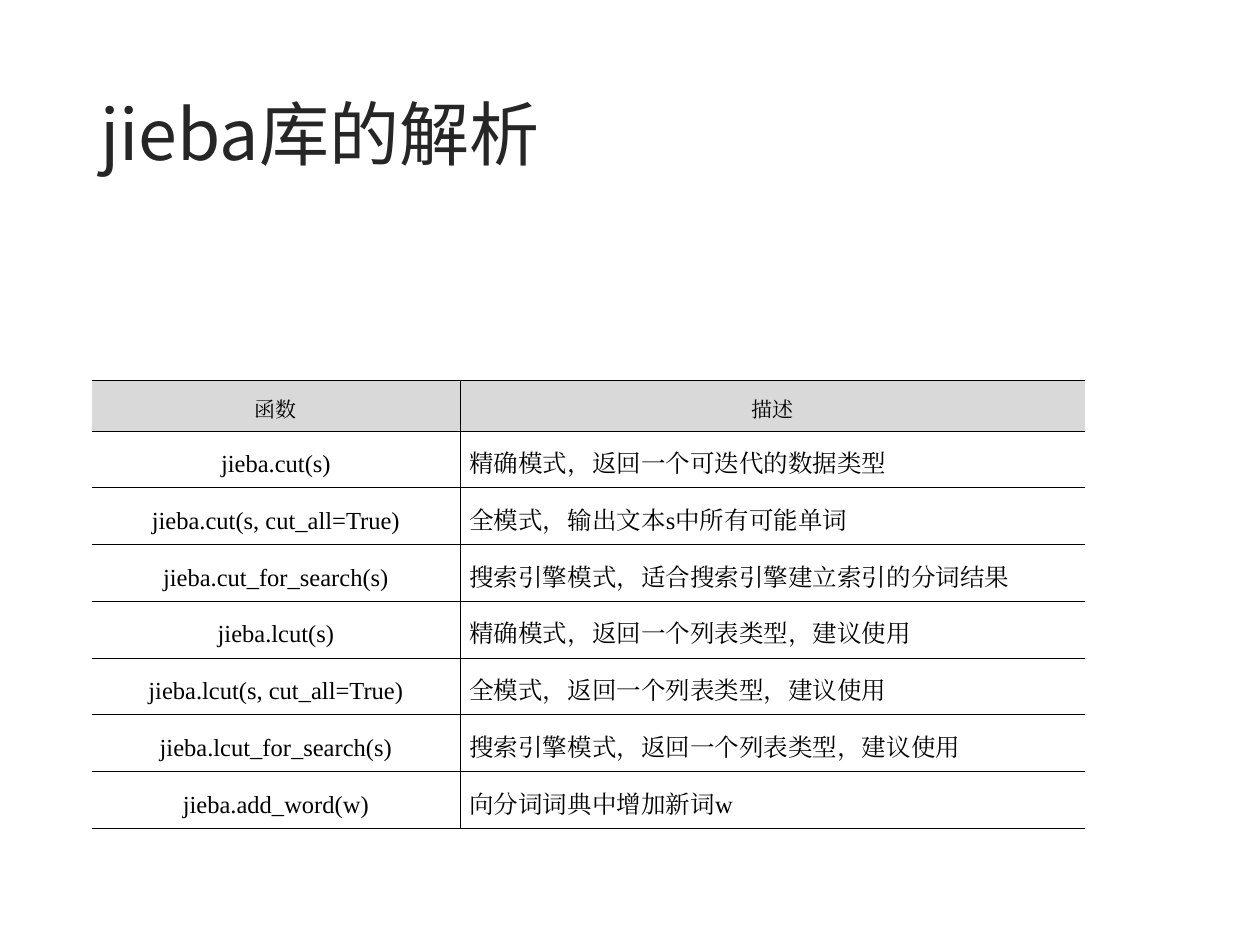
from pptx import Presentation
from pptx.dml.color import RGBColor
from pptx.enum import text as tx
from pptx.oxml import parse_xml
from pptx.oxml.ns import nsdecls
from pptx.util import Pt

COLORS = {"title": "262626", "ink": "000000", "head": "D9D9D9",
          "body": "FFFFFF", "shade": "C0C0C0"}
SANS, SERIF = "Noto Sans CJK SC", "Times New Roman"
HEAD = ("函数", "描述")
ROWS = [
    ("jieba.cut(s)", "精确模式，返回一个可迭代的数据类型"),
    ("jieba.cut(s, cut_all=True)", "全模式，输出文本s中所有可能单词"),
    ("jieba.cut_for_search(s)", "搜索引擎模式，适合搜索引擎建立索引的分词结果"),
    ("jieba.lcut(s)", "精确模式，返回一个列表类型，建议使用"),
    ("jieba.lcut(s, cut_all=True)", "全模式，返回一个列表类型，建议使用"),
    ("jieba.lcut_for_search(s)", "搜索引擎模式，返回一个列表类型，建议使用"),
    ("jieba.add_word(w)", "向分词词典中增加新词w"),
]


def write(frame, words, size, font, color="ink", align="LEFT", space=1.0,
          shade=False):
    """Fill a text frame with one formatted paragraph."""
    para = frame.paragraphs[0]
    para.alignment = getattr(tx.PP_ALIGN, align)
    para.line_spacing = space
    run = para.add_run()
    run.text = words
    run.font.size = Pt(size)
    run.font.color.rgb = RGBColor.from_string(COLORS[color])
    props = run.font._element
    if shade:
        props.append(parse_xml(
            f'<a:effectLst {nsdecls("a")}><a:outerShdw blurRad="38100" '
            f'dist="38100" dir="2700000"><a:srgbClr val="{COLORS["shade"]}"/>'
            '</a:outerShdw></a:effectLst>'))
    run.font.name = font
    props.append(parse_xml(f'<a:ea {nsdecls("a")} typeface="{font}"/>'))


def add_title(slide, words):
    box = slide.shapes.add_textbox(Pt(50.4), Pt(52.6), Pt(273.6), Pt(55.4))
    frame = box.text_frame
    frame.word_wrap = True
    frame.margin_top = Pt(7.6)
    write(frame, words, 40, SANS, color="title", space=0.82, shade=True)


def rule(cell, sides):
    """Draw thin lines on the named sides and clear the others."""
    props = cell._tc.get_or_add_tcPr()
    for at, side in enumerate("LRTB"):
        fill = (f'<a:solidFill><a:srgbClr val="{COLORS["ink"]}"/></a:solidFill>'
                if side in sides else "<a:noFill/>")
        props.insert(at, parse_xml(
            f'<a:ln{side} {nsdecls("a")} w="{Pt(0.45)}">{fill}</a:ln{side}>'))


def add_grid(slide):
    grid = slide.shapes.add_table(len(ROWS) + 1, 2, Pt(52.6), Pt(217.4),
                                  Pt(567.4), Pt(198)).table
    for col, width in zip(grid.columns, (210.2, 357.2)):
        col.width = Pt(width)
    for r, row in enumerate([HEAD] + ROWS):
        top = r == 0
        grid.rows[r].height = Pt(21.6 if top else 25.2)
        for c, words in enumerate(row):
            cell = grid.cell(r, c)
            cell.margin_left = cell.margin_right = Pt(5.4)
            cell.fill.solid()
            cell.fill.fore_color.rgb = RGBColor.from_string(
                COLORS["head" if top else "body"])
            rule(cell, "LTB" if c else "RTB")
            write(cell.text_frame, words, 12 if top else 14, SERIF, space=1.5,
                  align="CENTER" if top or c == 0 else "LEFT")


def main():
    deck = Presentation()
    deck.slide_width, deck.slide_height = Pt(720), Pt(540)
    slide = deck.slides.add_slide(deck.slide_layouts[6])
    add_title(slide, "jieba库的解析")
    add_grid(slide)
    deck.save("out.pptx")


if __name__ == "__main__":
    main()
